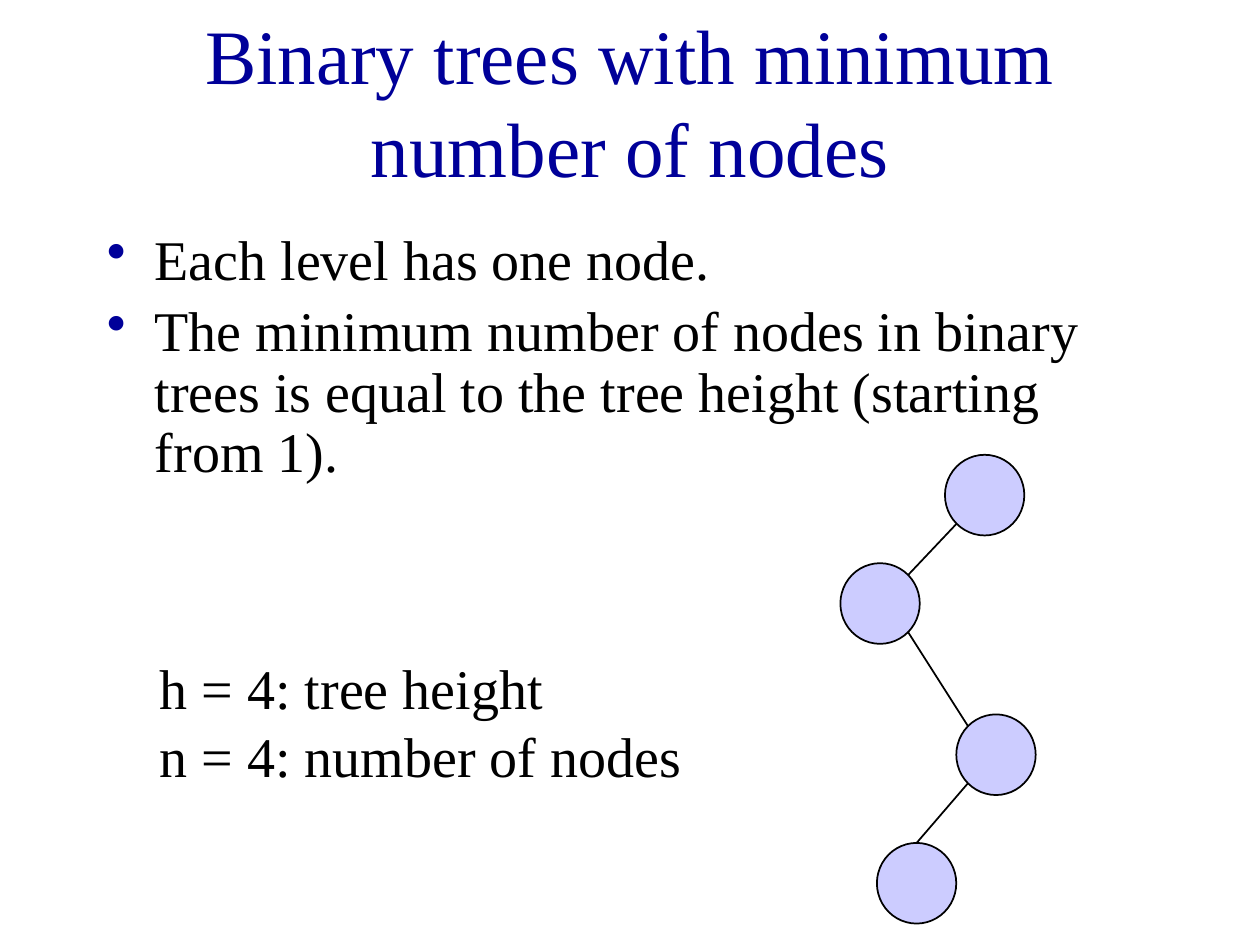
from lxml.etree import SubElement
from pptx import Presentation
from pptx.dml.color import RGBColor
from pptx.enum.shapes import MSO_CONNECTOR as Connector, MSO_SHAPE as Shape
from pptx.enum.text import MSO_ANCHOR as Anchor, PP_ALIGN as Align
from pptx.oxml.ns import qn
from pptx.util import Inches, Pt

COLORS = {"title": "000099", "text": "000000", "node": "CCCCFF", "line": "000000"}
CELL = Inches(0.1)  # the slide is a grid of 100 columns by 75 rows


def cells(*counts):
    return [round(count * CELL) for count in counts]


def add_text(box, lines, size, color, paragraph_format, wrap=True, anchor=Anchor.TOP, bullet=None):
    """Add a text box with one paragraph per line, all formatted alike."""
    frame = slide.shapes.add_textbox(*cells(*box)).text_frame
    frame.word_wrap = wrap
    frame.vertical_anchor = anchor
    for index, line in enumerate(lines):
        paragraph = frame.paragraphs[0] if index == 0 else frame.add_paragraph()
        paragraph.text = line
        for name, value in paragraph_format.items():
            if index > 0 or name != "space_before":
                setattr(paragraph, name, value)
        if bullet:
            properties = paragraph._p.get_or_add_pPr()
            properties.set("marL", str(Inches(0.38)))
            properties.set("indent", str(-Inches(0.38)))
            bullet_color = SubElement(properties, qn("a:buClr"))
            SubElement(bullet_color, qn("a:srgbClr"), val=COLORS["title"])
            SubElement(properties, qn("a:buChar"), char=bullet)
        font = paragraph.runs[0].font
        font.name = "Times New Roman"
        font.size = Pt(size)
        font.color.rgb = RGBColor.from_string(COLORS[color])


presentation = Presentation()
presentation.slide_width, presentation.slide_height = cells(100, 75)
slide = presentation.slides.add_slide(presentation.slide_layouts[6])

add_text((7.5, 1.7, 85, 12.5), ["Binary trees with minimum number of nodes"], 44, "title",
         {"alignment": Align.CENTER}, anchor=Anchor.MIDDLE)
add_text((7.5, 17.9, 85, 11.7),
         ["Each level has one node.",
          "The minimum number of nodes in binary trees is equal to the tree height (starting from 1)."],
         32, "text", {"line_spacing": 0.9, "space_before": Pt(6.4)}, bullet="•")
add_text((11.7, 51.4, 43.8, 11.8), ["h = 4: tree height", "n = 4: number of nodes"],
         32, "text", {"alignment": Align.LEFT}, wrap=False)

# Tree nodes from root to leaf: left column and top row
NODE_WIDTH, NODE_HEIGHT = 6.3, 6.4
nodes = [(75, 36.1), (66.7, 44.7), (75.9, 56.7), (69.6, 66.9)]
for left, top in nodes:
    node = slide.shapes.add_shape(Shape.OVAL, *cells(left, top, NODE_WIDTH, NODE_HEIGHT))
    node.shadow.inherit = False
    node.fill.solid()
    node.fill.fore_color.rgb = RGBColor.from_string(COLORS["node"])
    node.line.color.rgb = RGBColor.from_string(COLORS["line"])
    node.line.width = Pt(1)

# Where each edge leaves its parent and meets its child, as shares of the node's size
NEAR, FAR = 0.15, 0.85
edges = [((NEAR, FAR), (FAR, NEAR)), ((FAR, FAR), (NEAR, NEAR)), ((NEAR, FAR), (0.5, 0))]
for parent, child, ends in zip(nodes, nodes[1:], edges):
    points = []
    for (left, top), (across, down) in zip((parent, child), ends):
        points += cells(left + across * NODE_WIDTH, top + down * NODE_HEIGHT)
    edge = slide.shapes.add_connector(Connector.STRAIGHT, *points)
    edge.line.color.rgb = RGBColor.from_string(COLORS["line"])
    edge.line.width = Pt(1)
    SubElement(edge._element.spPr, qn("a:effectLst"))

presentation.save("out.pptx")
